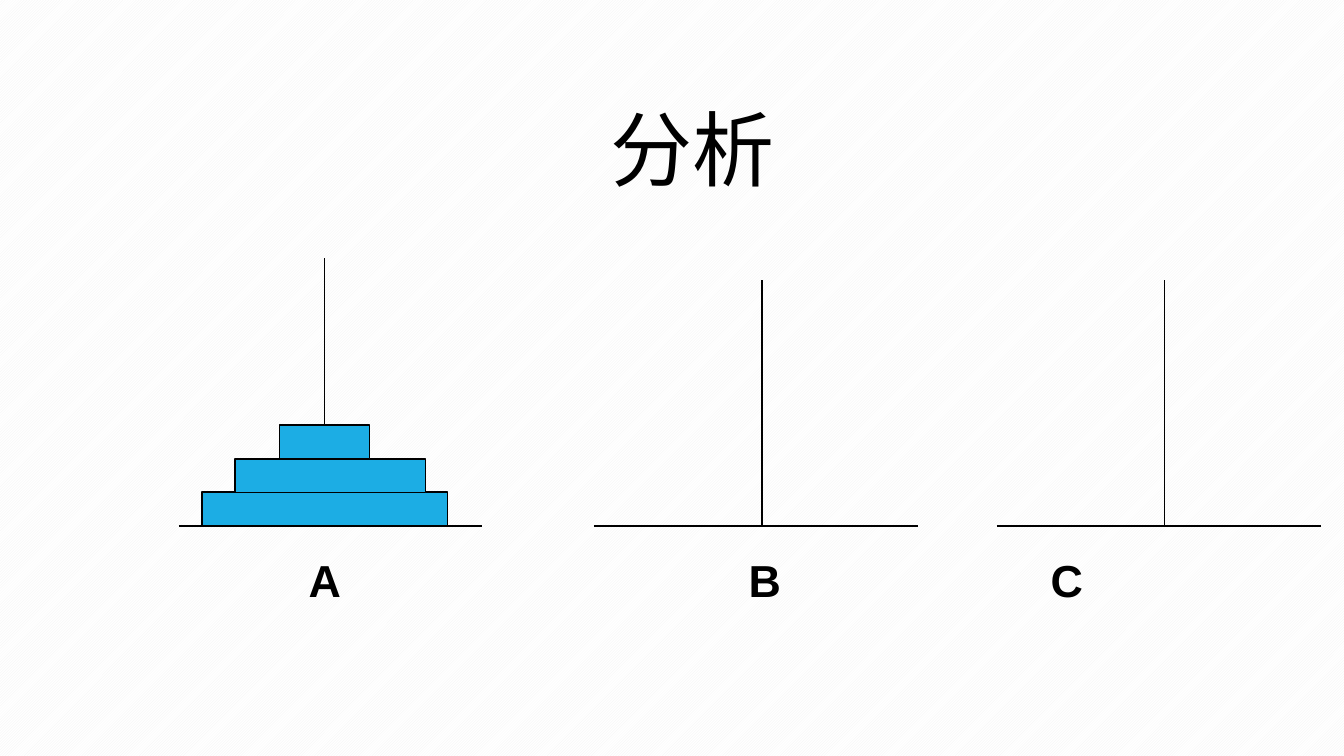
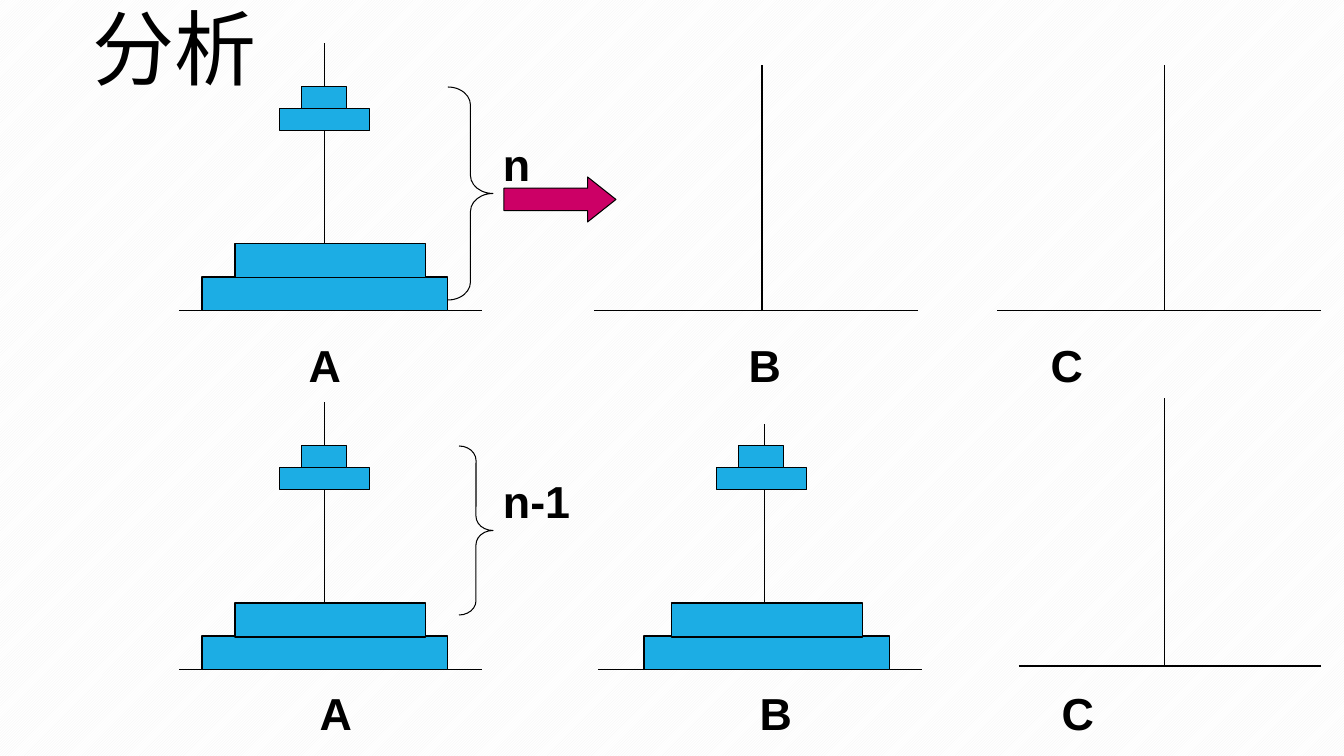
import pptx
import pptx.dml.color
import pptx.enum.dml
import pptx.enum.shapes
import pptx.enum.text
import pptx.oxml
import pptx.oxml.ns
import pptx.util
from lxml import etree

RGB = pptx.dml.color.RGBColor
SHAPE = pptx.enum.shapes.MSO_SHAPE
ANCHOR = pptx.enum.text.MSO_ANCHOR
ALIGN = pptx.enum.text.PP_ALIGN

BLACK = RGB(0x00, 0x00, 0x00)
WHITE = RGB(0xFF, 0xFF, 0xFF)
STRIPE = RGB(0xF2, 0xF2, 0xF2)
DISC_BLUE = RGB(0x1C, 0xAD, 0xE4)
ARROW_PINK = RGB(0xCC, 0x00, 0x66)

PX_PER_INCH = 100.8
LABELS = "\tA\tB\tC"
LABEL_STOPS = (91, 531, 833)
LABEL_SIZE = (1019, 64)
TITLE_FONT = {"name": "Arial", "size": pptx.util.Pt(58.6)}
LABEL_FONT = {"name": "Arial", "size": pptx.util.Pt(32), "bold": True}

# Discs, bottom first: left, height of top above the base, width, thickness
THREE_DISCS = [(202, 34, 246, 34), (235, 67, 191, 34), (280, 101, 90, 34)]
N_DISCS = [(202, 34, 246, 34), (235, 67, 191, 34),
           (280, 202, 90, 22), (302, 224, 45, 22)]
MOVED_DISCS = [(644, 34, 246, 34), (672, 67, 191, 34),
               (717, 202, 90, 22), (739, 224, 45, 22)]

# Towers: base left, base right, base y, peg x, peg height, discs
SLIDES = [
    {
        "title": ("分析", (122, 92, 1142, 112)),
        "towers": [(179, 482, 526, 325, 268, THREE_DISCS),
                   (594, 918, 526, 762, 246, []),
                   (997, 1321, 526, 1165, 246, [])],
        "labels": [(224, 548)],
        "braces": [], "arrows": [], "counts": [],
    },
    {
        "title": ("分析", (58, -3, 233, 99)),
        "towers": [(179, 482, 311, 325, 268, N_DISCS),
                   (594, 918, 311, 762, 246, []),
                   (997, 1321, 311, 1165, 246, []),
                   (179, 482, 670, 325, 268, N_DISCS),
                   (598, 922, 670, 765, 246, MOVED_DISCS),
                   (1019, 1321, 666, 1165, 268, [])],
        "labels": [(224, 333), (235, 681)],
        "braces": [((448, 87, 45, 213), (0.4, 0.5)),
                   ((459, 446, 34, 169), (0.42, 0.5))],
        "arrows": [((504, 177, 112, 45), (0.5, 0.63))],
        "counts": [("n", (493, 132, 56, 64)), ("n-1", (493, 469, 126, 64))],
    },
]


def px(value):
    return pptx.util.Emu(round(value * 914400 / PX_PER_INCH))


def scaled(values):
    return [px(value) for value in values]


def apply(target, values):
    for name, value in values.items():
        setattr(target, name, value)


def write(para, text, font):
    span = para.add_run()
    span.text = text
    apply(span.font, font)
    span.font.color.rgb = BLACK


def add_title(page, text, area):
    title = page.shapes.title
    apply(title, dict(zip(("left", "top", "width", "height"), scaled(area))))
    frame = title.text_frame
    apply(frame, {"margin_left": px(13), "margin_right": px(13),
                  "margin_top": px(7), "margin_bottom": px(7),
                  "vertical_anchor": ANCHOR.MIDDLE, "word_wrap": True,
                  "auto_size": pptx.enum.text.MSO_AUTO_SIZE.NONE})
    para = frame.paragraphs[0]
    para.alignment = ALIGN.CENTER
    write(para, text, TITLE_FONT)


def add_text(page, text, area, stops=()):
    box = page.shapes.add_textbox(*scaled(area))
    box.text_frame.word_wrap = True
    para = box.text_frame.paragraphs[0]
    if stops:
        tabs = etree.SubElement(para._p.get_or_add_pPr(),
                                pptx.oxml.ns.qn("a:tabLst"))
        for stop in stops:
            etree.SubElement(tabs, pptx.oxml.ns.qn("a:tab"),
                             pos=str(px(stop)), algn="ctr")
    write(para, text, LABEL_FONT)


def add_line(page, *ends):
    line = page.shapes.add_connector(
        pptx.enum.shapes.MSO_CONNECTOR.STRAIGHT, *scaled(ends))
    line.line.color.rgb = BLACK
    line.line.width = pptx.util.Pt(0.75)
    etree.SubElement(line._element.spPr, pptx.oxml.ns.qn("a:effectLst"))
    return line


def add_outlined(page, kind, area, fill=None, adjustments=()):
    shape = page.shapes.add_shape(kind, *scaled(area))
    shape.shadow.inherit = False
    shape.line.color.rgb = BLACK
    shape.line.width = pptx.util.Pt(0.75)
    if fill is None:
        shape.fill.background()
    else:
        shape.fill.solid()
        shape.fill.fore_color.rgb = fill
    for index, value in enumerate(adjustments):
        shape.adjustments[index] = value
    return shape


def add_tower(page, left, right, base, peg_x, peg_height, discs):
    add_line(page, left, base, right, base)
    peg = add_line(page, peg_x, base, peg_x, base - peg_height)
    stack = [add_outlined(page, SHAPE.RECTANGLE,
                          (x, base - rise, width, thickness), DISC_BLUE)
             for x, rise, width, thickness in discs]
    # The peg stands on the bottom disc where the two are centred
    if discs and discs[0][0] + discs[0][2] / 2 == peg_x:
        peg.begin_connect(stack[0], 2)


def main():
    deck = pptx.Presentation()
    deck.slide_width, deck.slide_height = scaled((1344, 756))

    # Shared striped background
    backdrop = deck.slide_master.background.fill
    backdrop.patterned()
    backdrop.pattern = pptx.enum.dml.MSO_PATTERN.LIGHT_UPWARD_DIAGONAL
    backdrop.fore_color.rgb = STRIPE
    backdrop.back_color.rgb = WHITE

    for content in SLIDES:
        page = deck.slides.add_slide(deck.slide_layouts[5])
        add_title(page, *content["title"])
        for tower in content["towers"]:
            add_tower(page, *tower)
        for corner in content["labels"]:
            add_text(page, LABELS, corner + LABEL_SIZE, LABEL_STOPS)
        for area, adjustments in content["braces"]:
            add_outlined(page, SHAPE.RIGHT_BRACE, area, None, adjustments)
        for area, adjustments in content["arrows"]:
            add_outlined(page, SHAPE.RIGHT_ARROW, area, ARROW_PINK, adjustments)
        for text, area in content["counts"]:
            add_text(page, text, area)

    deck.save("out.pptx")


if __name__ == "__main__":
    main()
